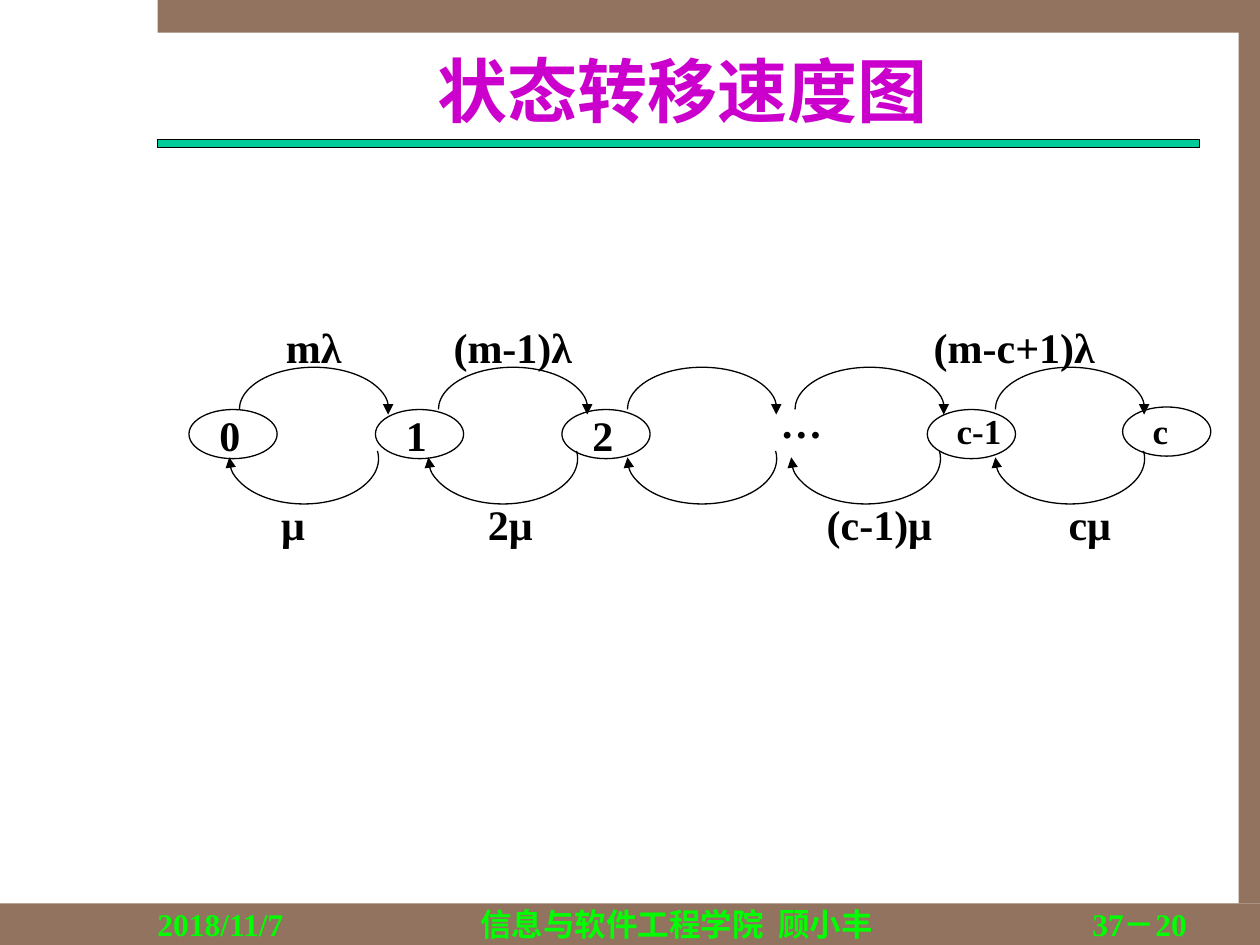
from dataclasses import dataclass

from lxml.etree import SubElement
from pptx import Presentation
from pptx.dml.color import RGBColor
from pptx.enum.shapes import MSO_SHAPE as Shape
from pptx.enum.text import MSO_ANCHOR as Anchor, MSO_AUTO_SIZE as AutoSize, PP_ALIGN as Align
from pptx.oxml.ns import qn
from pptx.util import Inches, Pt

BLACK = RGBColor(0x00, 0x00, 0x00)
BROWN = RGBColor(0x91, 0x73, 0x5F)
TEAL = RGBColor(0x00, 0xCC, 0x99)
MAGENTA = RGBColor(0xCC, 0x00, 0xCC)
GREEN = RGBColor(0x00, 0xFF, 0x00)
FONT = "Times New Roman"

# The slide is a grid of 100 columns by 75 rows.
WIDTH, HEIGHT = Inches(10), Inches(7.5)
COL, ROW = WIDTH / 100, HEIGHT / 75

STATE_W, STATE_H = 7, 3.9
ARC_W = 11.85
UP_MIDDLE, UP_RADIUS = 32.5, 3.35
DOWN_MIDDLE, DOWN_RADIUS = 36.4, 3.6
UP_ANGLES, DOWN_ANGLES = (180, 4), (354, 181)
UP_LABEL_TOP, DOWN_LABEL_TOP = 25, 39.1


@dataclass(frozen=True)
class Box:
    left: float
    top: float
    width: float
    height: float

    def emu(self) -> tuple[int, int, int, int]:
        return (round(self.left * COL), round(self.top * ROW),
                round(self.width * COL), round(self.height * ROW))


@dataclass(frozen=True)
class Label:
    text: str
    center: float
    width: float
    size: int = 24


@dataclass(frozen=True)
class State:
    left: float
    label: Label
    top: float = 32.5


@dataclass(frozen=True)
class Transition:
    """Arcs between two neighbouring states, with the rates that are labelled."""
    up_left: float
    down_left: float
    up_rate: Label | None = None
    down_rate: Label | None = None


BANDS = [Box(0, 71.7, 100, 3.3), Box(12.5, 0, 87.5, 2.6), Box(98.3, 2.5, 1.7, 69.2)]
RULE = Box(12.5, 11.1, 82.7, 0.6)
TITLE = Box(13.3, 3.75, 81.7, 6.7)

STATES = [
    State(15, Label("0", 18.25, 3.8)),
    State(29.8, Label("1", 33.05, 3.8)),
    State(44.6, Label("2", 47.85, 3.8)),
    State(73.6, Label("c-1", 77.7, 5.8, size=20)),
    State(89.1, Label("c", 92.1, 3.4, size=20), top=32.3),
]
ELLIPSIS = Label("…", 63.6, 5.6)

TRANSITIONS = [
    Transition(19, 18.2, Label("mλ", 24.9, 6.8), Label("μ", 23.25, 4.1)),
    Transition(34.8, 34, Label("(m-1)λ", 40.7, 11.8), Label("2μ", 40.5, 5.8)),
    Transition(49.8, 49.8),
    Transition(63.1, 62.8, down_rate=Label("(c-1)μ", 69.8, 10.6)),
    Transition(79, 79, Label("(m-c+1)λ", 80.5, 15.2), Label("cμ", 86.5, 5.6)),
]

FOOTERS = [
    ("信息与软件工程学院  顾小丰", Box(30.8, 71.8, 45.8, 3), Align.CENTER),
    ("2018/11/7", Box(12.5, 71.8, 18.3, 3), Align.LEFT),
    ("37－20", Box(77.5, 71.8, 16.7, 3), Align.RIGHT),
]


def write(sp, text: str, *, size: float = 24, color: RGBColor = BLACK,
          align=Align.CENTER, anchor=Anchor.TOP, wrap: bool = True,
          inset: bool = False) -> None:
    tf = sp.text_frame
    tf.word_wrap = wrap
    tf.auto_size = AutoSize.SHAPE_TO_FIT_TEXT
    tf.vertical_anchor = anchor
    if not inset:
        tf.margin_left = tf.margin_right = tf.margin_top = tf.margin_bottom = 0
    p = tf.paragraphs[0]
    p.alignment = align
    r = p.add_run()
    r.text = text
    r.font.name, r.font.size, r.font.bold = FONT, Pt(size), True
    r.font.color.rgb = color


def draw_shape(s, kind, box: Box, fill: RGBColor | None = None, outlined: bool = True):
    sp = s.shapes.add_shape(kind, *box.emu())
    sp.shadow.inherit = False
    if fill is None:
        sp.fill.background()
    else:
        sp.fill.solid()
        sp.fill.fore_color.rgb = fill
    if outlined:
        sp.line.color.rgb = BLACK
        sp.line.width = Pt(0.75)
    else:
        sp.line.fill.background()
    return sp


def draw_label(s, label: Label, top: float) -> None:
    box = Box(label.center - label.width / 2, top, label.width, label.size / 4.8)
    sp = s.shapes.add_textbox(*box.emu())
    write(sp, label.text, size=label.size, wrap=False, inset=True)


def draw_arc(s, left: float, middle: float, radius: float, angles: tuple[int, int]) -> None:
    """Draw a clockwise arc, angles in degrees, with an arrowhead at its end."""
    sp = draw_shape(s, Shape.ARC, Box(left, middle - radius, ARC_W, 2 * radius))
    for i, degrees in enumerate(angles):
        sp.adjustments[i] = degrees * 0.6  # 60000ths of a degree, in units of 100000
    ln = sp.line._get_or_add_ln()
    SubElement(ln, qn("a:tailEnd"), type="triangle")


def draw_state(s, state: State) -> None:
    draw_shape(s, Shape.OVAL, Box(state.left, state.top, STATE_W, STATE_H))
    draw_label(s, state.label, 32)


def draw_transition(s, t: Transition) -> None:
    draw_arc(s, t.up_left, UP_MIDDLE, UP_RADIUS, UP_ANGLES)
    draw_arc(s, t.down_left, DOWN_MIDDLE, DOWN_RADIUS, DOWN_ANGLES)
    for rate, top in ((t.up_rate, UP_LABEL_TOP), (t.down_rate, DOWN_LABEL_TOP)):
        if rate:
            draw_label(s, rate, top)


def main() -> None:
    prs = Presentation()
    prs.slide_width, prs.slide_height = WIDTH, HEIGHT
    s = prs.slides.add_slide(prs.slide_layouts[5])

    for band in BANDS:
        draw_shape(s, Shape.RECTANGLE, band, BROWN, outlined=False)
    draw_shape(s, Shape.RECTANGLE, RULE, TEAL)

    title = s.shapes.title
    title.left, title.top, title.width, title.height = TITLE.emu()
    write(title, "状态转移速度图", size=40, color=MAGENTA, anchor=Anchor.MIDDLE)

    for state in STATES:
        draw_state(s, state)
    draw_label(s, ELLIPSIS, 31)
    for transition in TRANSITIONS:
        draw_transition(s, transition)

    for text, box, align in FOOTERS:
        write(s.shapes.add_textbox(*box.emu()), text, size=18, color=GREEN, align=align)

    prs.save("out.pptx")


if __name__ == "__main__":
    main()
